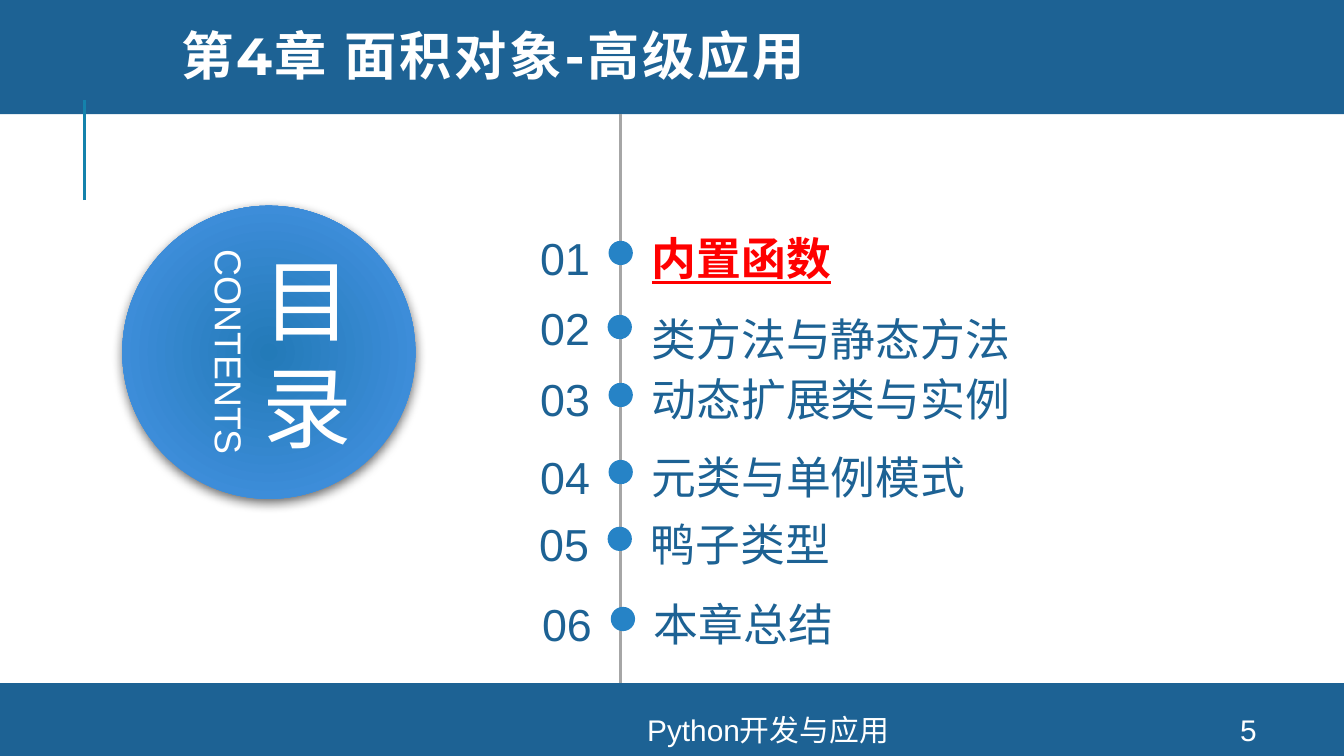
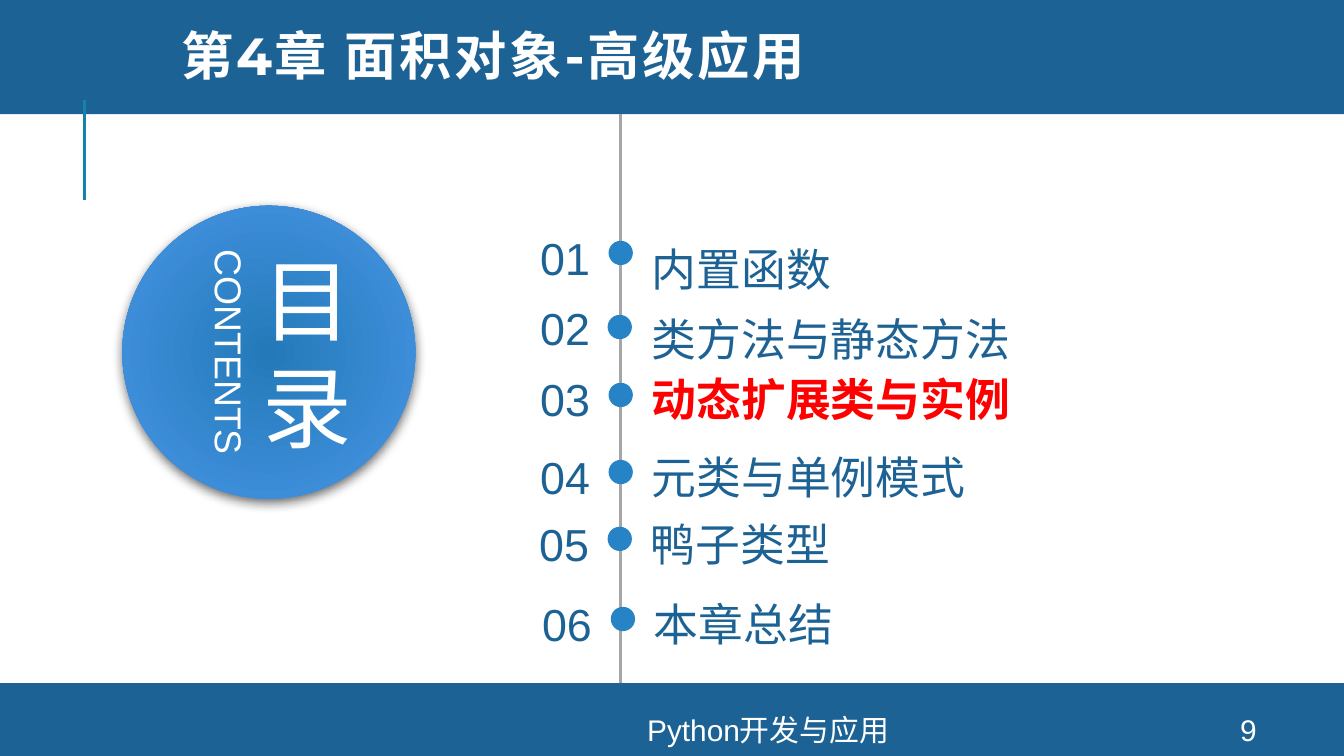
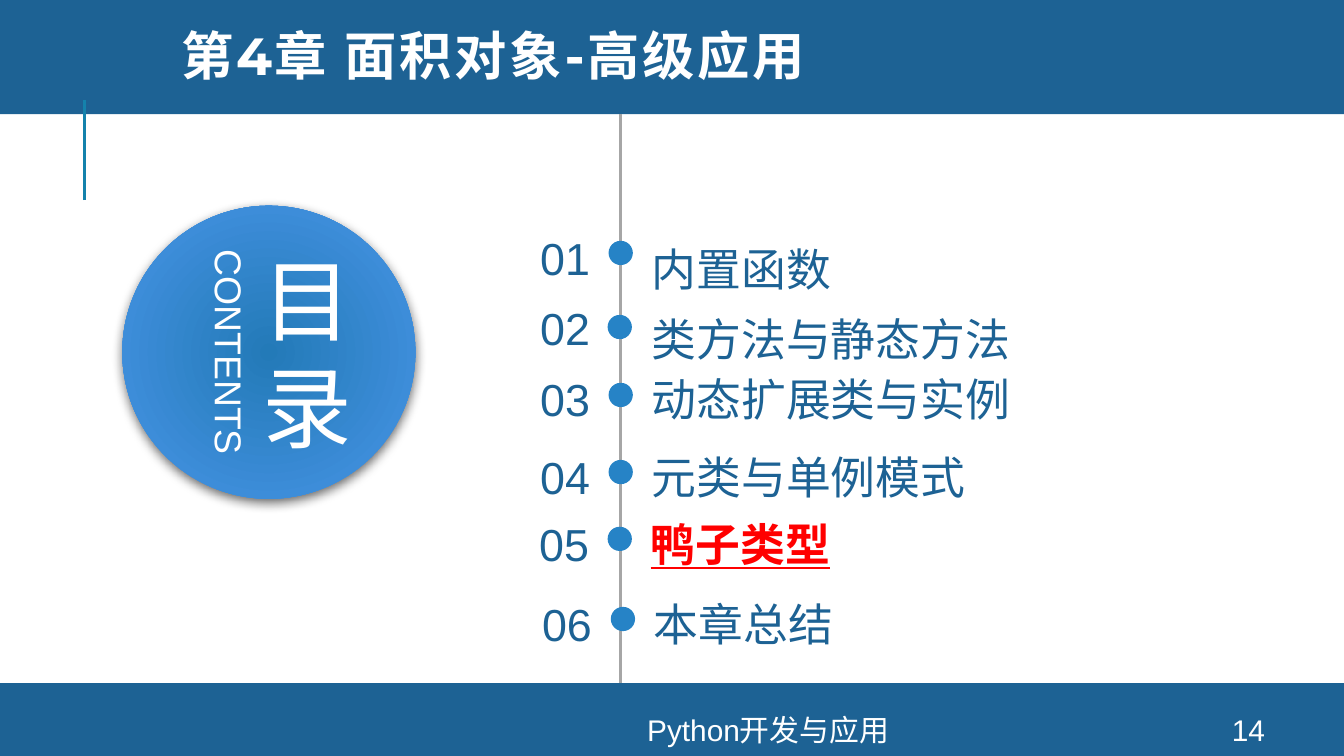
"""Build the three contents slides of chapter 4, each with its current section marked."""

from dataclasses import dataclass, replace
from typing import Optional

from lxml import etree
from pptx import Presentation
from pptx.dml.color import RGBColor
from pptx.enum.shapes import MSO_CONNECTOR, MSO_SHAPE
from pptx.enum.text import MSO_ANCHOR, MSO_AUTO_SIZE, PP_ALIGN
from pptx.oxml.ns import qn
from pptx.shapes.autoshape import Shape
from pptx.slide import Slide
from pptx.util import Pt

RECTANGLE, OVAL = MSO_SHAPE.RECTANGLE, MSO_SHAPE.OVAL
STRAIGHT = MSO_CONNECTOR.STRAIGHT
LEFT, CENTER, RIGHT = PP_ALIGN.LEFT, PP_ALIGN.CENTER, PP_ALIGN.RIGHT
TOP, MIDDLE = MSO_ANCHOR.TOP, MSO_ANCHOR.MIDDLE
GROW, FIXED = MSO_AUTO_SIZE.SHAPE_TO_FIT_TEXT, MSO_AUTO_SIZE.NONE

COLORS = {
    "band": "1D6294",
    "accent": "1482AC",
    "divider": "A6A6A6",
    "dot": "2683C6",
    "disc_center": "237AB8",
    "disc_edge": "4895E7",
    "shadow": "000000",
    "light": "FFFFFF",
    "current": "FF0000",
}
DOT_SIZE = 13
ENTRY_HEIGHT = 28.8


@dataclass(frozen=True)
class Frame:
    """Position and size in points."""

    left: float
    top: float
    width: float
    height: float


@dataclass(frozen=True)
class TextStyle:
    """Look of all text in one box."""

    size: float
    color: str = "light"
    font: str = "Arial"
    bold: bool = False
    underline: bool = False
    spacing: float = 0
    align: PP_ALIGN = CENTER
    anchor: MSO_ANCHOR = TOP
    line_spacing: Optional[float] = None
    inset: bool = True
    grow: bool = False


@dataclass(frozen=True)
class Entry:
    """One section in the contents list."""

    label: str
    top: float
    dot_left: float
    dot_top: float
    shift: float = 0
    width: float = 242.6
    roomy: bool = False


@dataclass(frozen=True)
class ContentsPage:
    """Page number and marked section of one slide."""

    number: int
    current: int
    underline: bool


TITLE = TextStyle(28, font="Montserrat", bold=True, spacing=1.5, align=LEFT,
                  anchor=MIDDLE, line_spacing=0.8)
FOOTER = TextStyle(16, anchor=MIDDLE)
DISC_TITLE = TextStyle(48, spacing=6, anchor=MIDDLE, inset=False)
DISC_SUBTITLE = TextStyle(20, grow=True)
NUMBER = TextStyle(24, "band", align=RIGHT, inset=False, grow=True)
LABEL = replace(NUMBER, align=LEFT)
ROOMY_LABEL = replace(LABEL, line_spacing=1.2)
CURRENT_LABEL = replace(LABEL, color="current", bold=True)

ENTRIES = [
    Entry("内置函数", 123.8, 326, 129, roomy=True),
    Entry("类方法与静态方法", 161.3, 325.5, 168.7, width=278.6, roomy=True),
    Entry("动态扩展类与实例", 199.4, 326, 205.1),
    Entry("元类与单例模式", 241.2, 326, 246.4),
    Entry("鸭子类型", 276.7, 325.5, 282.2, shift=-0.6),
    Entry("本章总结", 319.7, 327.2, 325.1, shift=1),
]
PAGES = [
    ContentsPage(5, 1, True),
    ContentsPage(9, 3, False),
    ContentsPage(14, 5, True),
]


def rgb(name: str) -> RGBColor:
    """Look up a named colour."""
    return RGBColor.from_string(COLORS[name])


def add_text(page: Slide, frame: Frame, lines: list[str], style: TextStyle) -> Shape:
    """Add a text box with one paragraph for each line."""
    box = page.shapes.add_textbox(Pt(frame.left), Pt(frame.top), Pt(frame.width), Pt(frame.height))
    text_frame = box.text_frame
    text_frame.word_wrap = True
    text_frame.auto_size = GROW if style.grow else FIXED
    text_frame.vertical_anchor = style.anchor
    if not style.inset:
        text_frame.margin_left = text_frame.margin_right = 0
        text_frame.margin_top = text_frame.margin_bottom = 0
    for index, line in enumerate(lines):
        para = text_frame.add_paragraph() if index else text_frame.paragraphs[0]
        para.alignment = style.align
        if style.line_spacing:
            para.line_spacing = style.line_spacing
        span = para.add_run()
        span.text = line
        span.font.name = style.font
        span.font.size = Pt(style.size)
        span.font.color.rgb = rgb(style.color)
        span.font.bold = style.bold
        span.font.underline = style.underline
        if style.spacing:
            span.font._element.set("spc", str(round(style.spacing * 100)))
    return box


def add_block(page: Slide, kind: MSO_SHAPE, frame: Frame, color: str) -> Shape:
    """Add a plain filled shape without outline or shadow."""
    block = page.shapes.add_shape(kind, Pt(frame.left), Pt(frame.top), Pt(frame.width), Pt(frame.height))
    block.shadow.inherit = False
    block.fill.solid()
    block.fill.fore_color.rgb = rgb(color)
    block.line.fill.background()
    return block


def add_vertical(page: Slide, x: float, start: float, end: float, color: str) -> None:
    """Add a vertical line."""
    line = page.shapes.add_connector(STRAIGHT, Pt(x), Pt(start), Pt(x), Pt(end))
    line.line.color.rgb = rgb(color)
    line.line.width = Pt(1.5)
    etree.SubElement(line._element.spPr, qn("a:effectLst"))


def add_disc(page: Slide) -> None:
    """Add the shaded disc with its upright and turned headings."""
    disc = add_block(page, OVAL, Frame(65.5, 110.2, 157, 157), "disc_center")
    disc.fill.gradient()
    for stop, color in zip(disc.fill.gradient_stops, ("disc_center", "disc_edge")):
        stop.color.rgb = rgb(color)
    properties = disc._element.spPr
    gradient = properties.find(qn("a:gradFill"))
    gradient.remove(gradient.find(qn("a:lin")))
    circle = etree.SubElement(gradient, qn("a:path"), path="circle")
    etree.SubElement(circle, qn("a:fillToRect"), {side: "100000" for side in "ltrb"})
    shadow = etree.SubElement(
        properties.find(qn("a:effectLst")), qn("a:outerShdw"),
        blurRad=str(Pt(6)), dist=str(Pt(2)), dir="5400000", algn="t", rotWithShape="0")
    shade = etree.SubElement(shadow, qn("a:srgbClr"), val=COLORS["shadow"])
    etree.SubElement(shade, qn("a:alpha"), val="60000")
    add_text(page, Frame(113.8, 115.9, 101.5, 145.4), ["目", "录"], DISC_TITLE)
    subtitle = add_text(page, Frame(46.8, 172.8, 152, 31.6), ["CONTENTS"], DISC_SUBTITLE)
    subtitle.rotation = 90


def add_frame(page: Slide, number: int) -> None:
    """Add the bands, lines, title and footer."""
    add_block(page, RECTANGLE, Frame(0, -2, 720, 63.2), "band")
    add_block(page, RECTANGLE, Frame(0, 366, 720, 39), "band")
    add_vertical(page, 45.2, 107.2, 53.5, "accent")
    add_vertical(page, 332.4, 61.2, 366, "divider")
    add_text(page, Frame(90, 6.5, 594.7, 51.8), ["第4章 面积对象-高级应用"], TITLE)
    add_text(page, Frame(187.9, 382.3, 447.1, 16.6), ["Python开发与应用"], FOOTER)
    add_text(page, Frame(640, 382.3, 57.6, 16.6), [str(number)], FOOTER)


def add_entry(page: Slide, position: int, entry: Entry, contents: ContentsPage) -> None:
    """Add the number, dot and label of one section."""
    if position == contents.current:
        style = replace(CURRENT_LABEL, underline=contents.underline)
    else:
        style = ROOMY_LABEL if entry.roomy else LABEL
    height = ENTRY_HEIGHT * (style.line_spacing or 1)
    add_block(page, OVAL, Frame(entry.dot_left, entry.dot_top, DOT_SIZE, DOT_SIZE), "dot")
    add_text(page, Frame(273.6 + entry.shift, entry.top, 42.5, ENTRY_HEIGHT), [f"{position:02}"], NUMBER)
    add_text(page, Frame(349.2 + entry.shift, entry.top, entry.width, height), [entry.label], style)


def main() -> None:
    """Build and save the deck."""
    deck = Presentation()
    deck.slide_width, deck.slide_height = Pt(720), Pt(405)
    for contents in PAGES:
        page = deck.slides.add_slide(deck.slide_layouts[6])
        add_frame(page, contents.number)
        add_disc(page)
        for position, entry in enumerate(ENTRIES, start=1):
            add_entry(page, position, entry, contents)
    deck.save("out.pptx")


if __name__ == "__main__":
    main()
